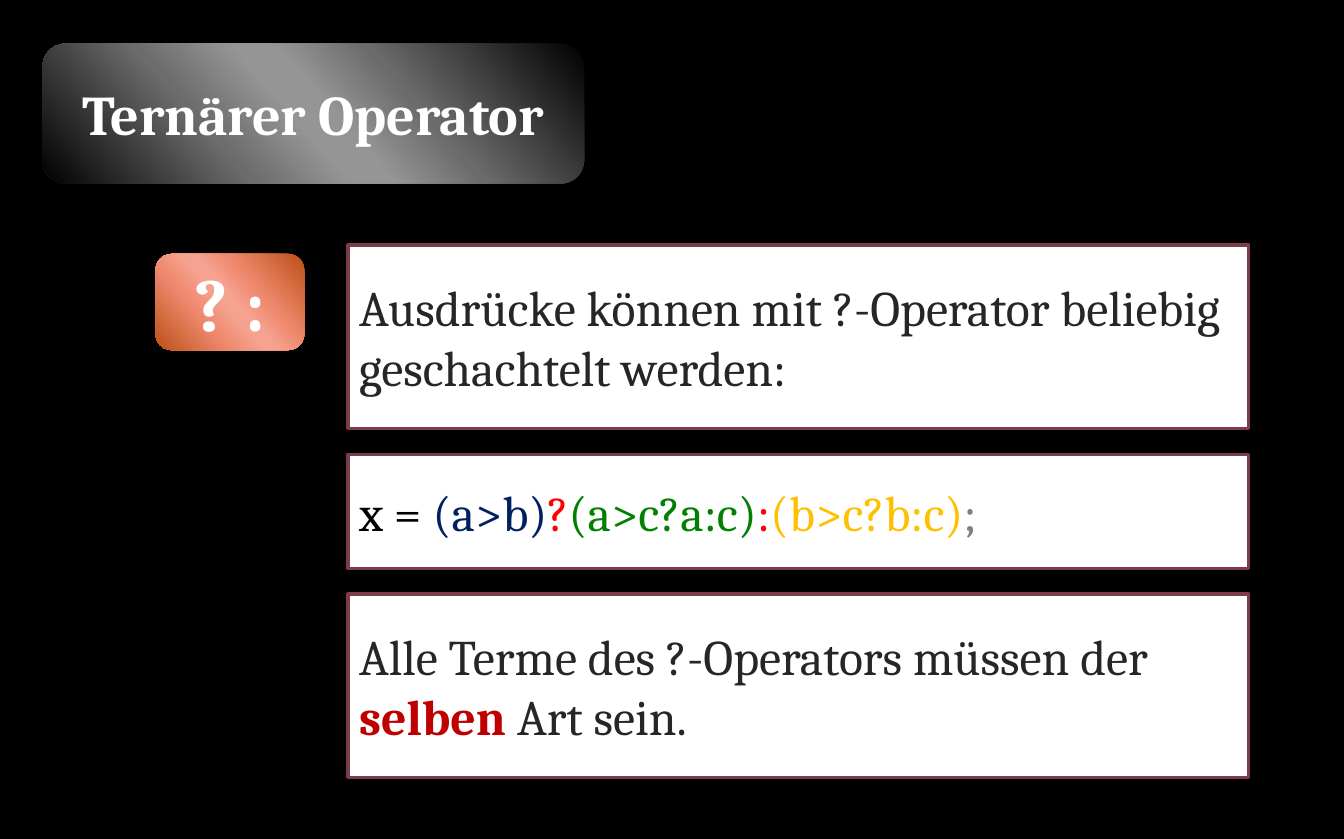
"""Builds the slide about nesting the ternary operator."""
import dataclasses

import lxml.etree
import pptx
import pptx.dml.color
import pptx.enum.dml
import pptx.enum.shapes
import pptx.enum.text
import pptx.oxml.ns
import pptx.util

SCALE = 9144


@dataclasses.dataclass(frozen=True)
class Theme:
    font: str = "Cambria"
    background: str = "000000"
    badge_text: str = "FFFFFF"
    panel: str = "FFFFFF"
    border: str = "7D3C4A"
    body: str = "262626"
    code: str = "000000"
    condition: str = "002060"
    operator: str = "FF0000"
    when_true: str = "028002"
    when_false: str = "FFC000"
    terminator: str = "808080"
    emphasis: str = "C00000"
    grey: tuple = ("000000", "6B6B6B", "959595", "959595", "6C6C6C", "000000")
    orange: tuple = ("BC5016", "EE886C", "F6A290", "F6A290", "EE896E", "BC5016")
    stops: tuple = (0, 33, 47, 53, 68, 100)
    angle: int = 221
    title_size: int = 36
    symbol_size: int = 48
    body_size: int = 32
    border_width: int = 2


class SlideBuilder:
    def __init__(self, page, theme):
        self.page = page
        self.theme = theme
        page.background.fill.solid()
        page.background.fill.fore_color.rgb = self.colour(theme.background)

    def colour(self, value):
        return pptx.dml.color.RGBColor.from_string(value)

    def shape(self, kind, place):
        box = self.page.shapes.add_shape(kind, *(length * SCALE for length in place))
        box.shadow.inherit = False
        box.text_frame.word_wrap = True
        box.text_frame.vertical_anchor = pptx.enum.text.MSO_ANCHOR.MIDDLE
        return box

    def label(self, box, spans, size, alignment):
        para = box.text_frame.paragraphs[0]
        para.alignment = alignment
        for text, colour, bold in spans:
            span = para.add_run()
            span.text = text
            span.font.name = self.theme.font
            span.font.size = pptx.util.Pt(size)
            span.font.bold = bold
            span.font.color.rgb = self.colour(colour)

    def badge(self, place, text, size, colours):
        box = self.shape(pptx.enum.shapes.MSO_SHAPE.ROUNDED_RECTANGLE, place)
        box.line.fill.background()
        box.fill.gradient()
        box.fill.gradient_angle = self.theme.angle
        name = pptx.oxml.ns.qn
        stops = box.element.spPr.find(".//" + name("a:gsLst"))
        for stop in list(stops):
            stops.remove(stop)
        for position, colour in zip(self.theme.stops, colours):
            stop = lxml.etree.SubElement(stops, name("a:gs"), pos=str(position * 1000))
            lxml.etree.SubElement(stop, name("a:srgbClr"), val=colour)
        self.label(box, [(text, self.theme.badge_text, True)], size,
                   pptx.enum.text.PP_ALIGN.CENTER)

    def panel(self, place, spans):
        box = self.shape(pptx.enum.shapes.MSO_SHAPE.RECTANGLE, place)
        box.fill.solid()
        box.fill.fore_color.rgb = self.colour(self.theme.panel)
        box.line.color.rgb = self.colour(self.theme.border)
        box.line.width = pptx.util.Pt(self.theme.border_width)
        self.label(box, spans, self.theme.body_size, pptx.enum.text.PP_ALIGN.LEFT)


def main():
    theme = Theme()
    deck = pptx.Presentation()
    deck.slide_width, deck.slide_height = 1201 * SCALE, 750 * SCALE
    builder = SlideBuilder(deck.slides.add_slide(deck.slide_layouts[6]), theme)

    builder.badge((38, 39, 484, 125), "Ternärer Operator", theme.title_size, theme.grey)
    builder.badge((139, 227, 133, 86), "? :", theme.symbol_size, theme.orange)

    panels = [
        (164, [("Ausdrücke können mit ?-Operator beliebig geschachtelt werden:",
                theme.body, False)]),
        (102, [("x = ", theme.code, False),
               ("(a>b)", theme.condition, False),
               ("?", theme.operator, False),
               ("(a>c?a:c)", theme.when_true, False),
               (":", theme.operator, False),
               ("(b>c?b:c)", theme.when_false, False),
               (";", theme.terminator, False)]),
        (164, [("Alle Terme des ?-Operators müssen der ", theme.body, False),
               ("selben", theme.emphasis, True),
               (" Art sein.", theme.body, False)]),
    ]
    top, gap = 219, 23
    for height, spans in panels:
        builder.panel((311, top, 805, height), spans)
        top += height + gap

    deck.save("out.pptx")


if __name__ == "__main__":
    main()
